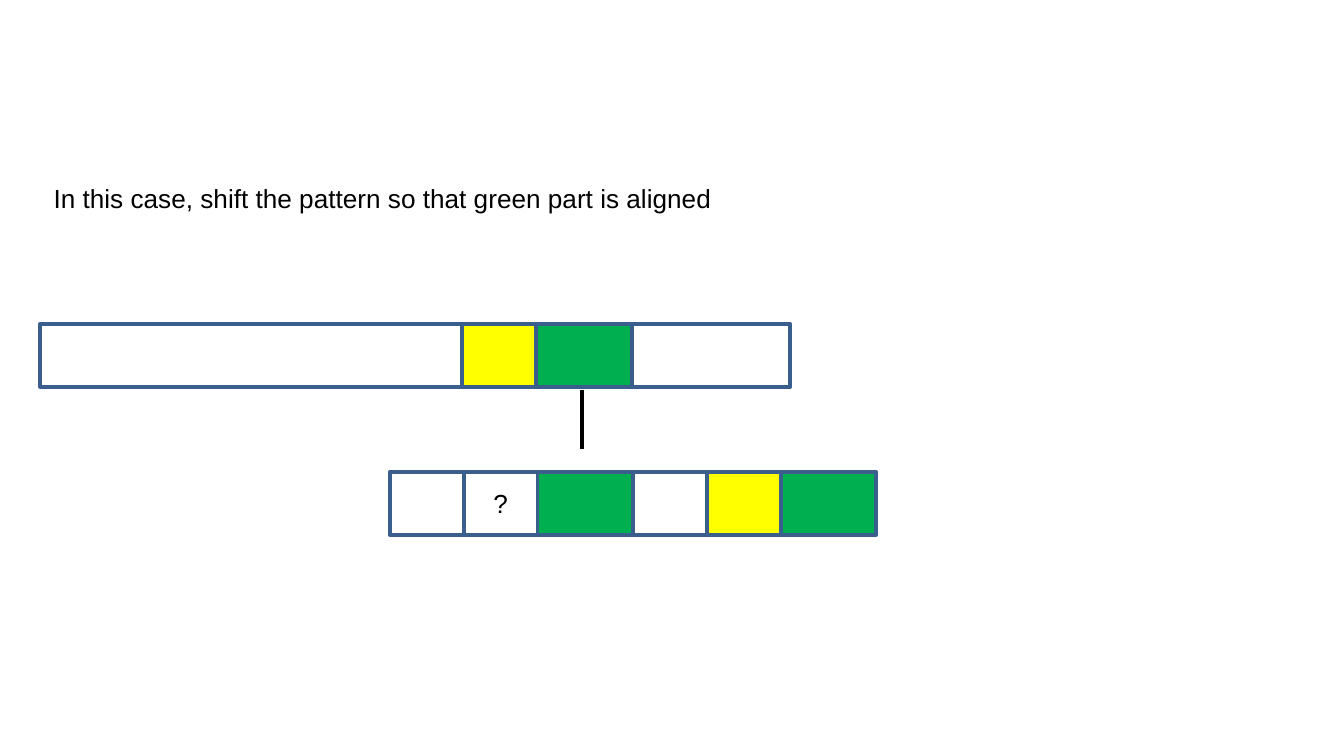
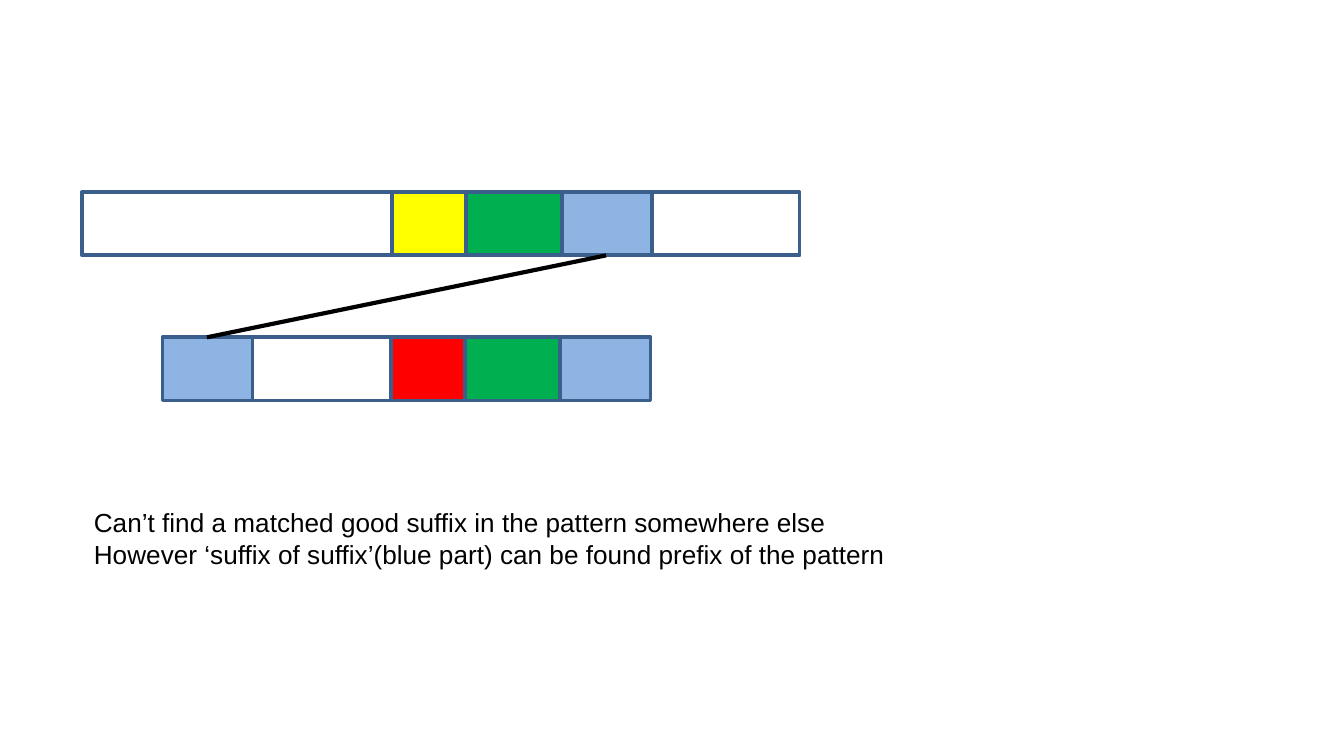
from dataclasses import dataclass

from lxml.etree import SubElement
from pptx import Presentation
from pptx.dml.color import RGBColor
from pptx.enum.shapes import MSO_CONNECTOR, MSO_SHAPE
from pptx.enum.text import MSO_ANCHOR, MSO_AUTO_SIZE, PP_ALIGN
from pptx.oxml.ns import qn
from pptx.util import Inches, Pt

# Grid: square cells of a tenth of an inch
COLS, ROWS = 100, 56.25
CELL = Inches(0.1)

FONT, TEXT_SIZE = "Arial", Pt(14)
COLORS = {
    "ink": "000000",
    "outline": "3A5F8C",
    "yellow": "FFFF00",
    "green": "00B050",
    "blue": "8EB4E3",
    "red": "FF0000",
}

# Widths of the blocks, in columns; all strips share one height, in rows
CHAR, SUFFIX, PREFIX = 5.5, 7.1, 6.7
STRIP_H = 4.7


@dataclass(frozen=True)
class Block:
    width: float
    fill: str | None = None
    label: str = ""


@dataclass(frozen=True)
class Strip:
    left: float
    top: float
    blocks: tuple[Block, ...]


@dataclass(frozen=True)
class Caption:
    left: float
    top: float
    width: float
    height: float
    lines: tuple[str, ...]


@dataclass(frozen=True)
class Link:
    start: tuple[float, float]
    end: tuple[float, float]


@dataclass(frozen=True)
class Diagram:
    caption: Caption
    strips: tuple[Strip, ...]
    link: Link


MISMATCH = Block(CHAR, "yellow")
GOOD_SUFFIX = Block(SUFFIX, "green")
BORDER = Block(PREFIX, "blue")

DIAGRAMS = (
    Diagram(
        Caption(3, 13.1, 51.2, 3.4, (
            "In this case, shift the pattern so that green part is aligned",
        )),
        (
            Strip(3, 24.1, (Block(31.4), MISMATCH, GOOD_SUFFIX, Block(11.8))),
            Strip(29, 35.1, (Block(CHAR), Block(CHAR, label="?"), GOOD_SUFFIX,
                             Block(CHAR), MISMATCH, GOOD_SUFFIX)),
        ),
        Link((43.3, 29), (43.3, 33.4)),
    ),
    Diagram(
        Caption(6, 37.2, 61.2, 5.7, (
            "Can’t find a matched good suffix in the pattern somewhere else",
            "However ‘suffix of suffix’(blue part) can be found prefix of the pattern",
        )),
        (
            Strip(6.1, 14.3, (Block(23.1), MISMATCH, GOOD_SUFFIX, BORDER, Block(11))),
            Strip(12.1, 25.1, (BORDER, Block(10.3), Block(CHAR, "red"),
                               GOOD_SUFFIX, BORDER)),
        ),
        Link((45.1, 19), (15.4, 25.1)),
    ),
)


def grid(*cells: float) -> list[int]:
    return [round(c * CELL) for c in cells]


def color(name: str) -> RGBColor:
    return RGBColor.from_string(COLORS[name])


def style(p) -> None:
    p.font.name, p.font.size = FONT, TEXT_SIZE
    p.font.color.rgb = color("ink")


def draw_caption(slide, cap: Caption) -> None:
    box = slide.shapes.add_textbox(*grid(cap.left, cap.top, cap.width, cap.height))
    tf = box.text_frame
    tf.word_wrap = False
    tf.auto_size = MSO_AUTO_SIZE.SHAPE_TO_FIT_TEXT
    tf.text = "\n".join(cap.lines)
    for p in tf.paragraphs:
        style(p)


def draw_strip(slide, strip: Strip) -> None:
    group = slide.shapes.add_group_shape()
    left = strip.left
    for block in strip.blocks:
        sp = group.shapes.add_shape(
            MSO_SHAPE.RECTANGLE, *grid(left, strip.top, block.width, STRIP_H))
        sp.shadow.inherit = False
        sp.line.color.rgb = color("outline")
        sp.line.width = Pt(2)
        if block.fill:
            sp.fill.solid()
            sp.fill.fore_color.rgb = color(block.fill)
        else:
            sp.fill.background()
        if block.label:
            tf = sp.text_frame
            tf.vertical_anchor = MSO_ANCHOR.MIDDLE
            tf.text = block.label
            p = tf.paragraphs[0]
            p.alignment = PP_ALIGN.CENTER
            style(p)
        left += block.width


def draw_link(slide, link: Link) -> None:
    line = slide.shapes.add_connector(
        MSO_CONNECTOR.STRAIGHT, *grid(*link.start, *link.end))
    line.line.color.rgb = color("ink")
    line.line.width = Pt(2.25)
    SubElement(line._element.spPr, qn("a:effectLst"))


def main() -> None:
    prs = Presentation()
    prs.slide_width, prs.slide_height = grid(COLS, ROWS)
    blank = prs.slide_layouts[6]
    for diagram in DIAGRAMS:
        slide = prs.slides.add_slide(blank)
        draw_caption(slide, diagram.caption)
        for strip in diagram.strips:
            draw_strip(slide, strip)
        draw_link(slide, diagram.link)
    prs.save("out.pptx")


if __name__ == "__main__":
    main()
